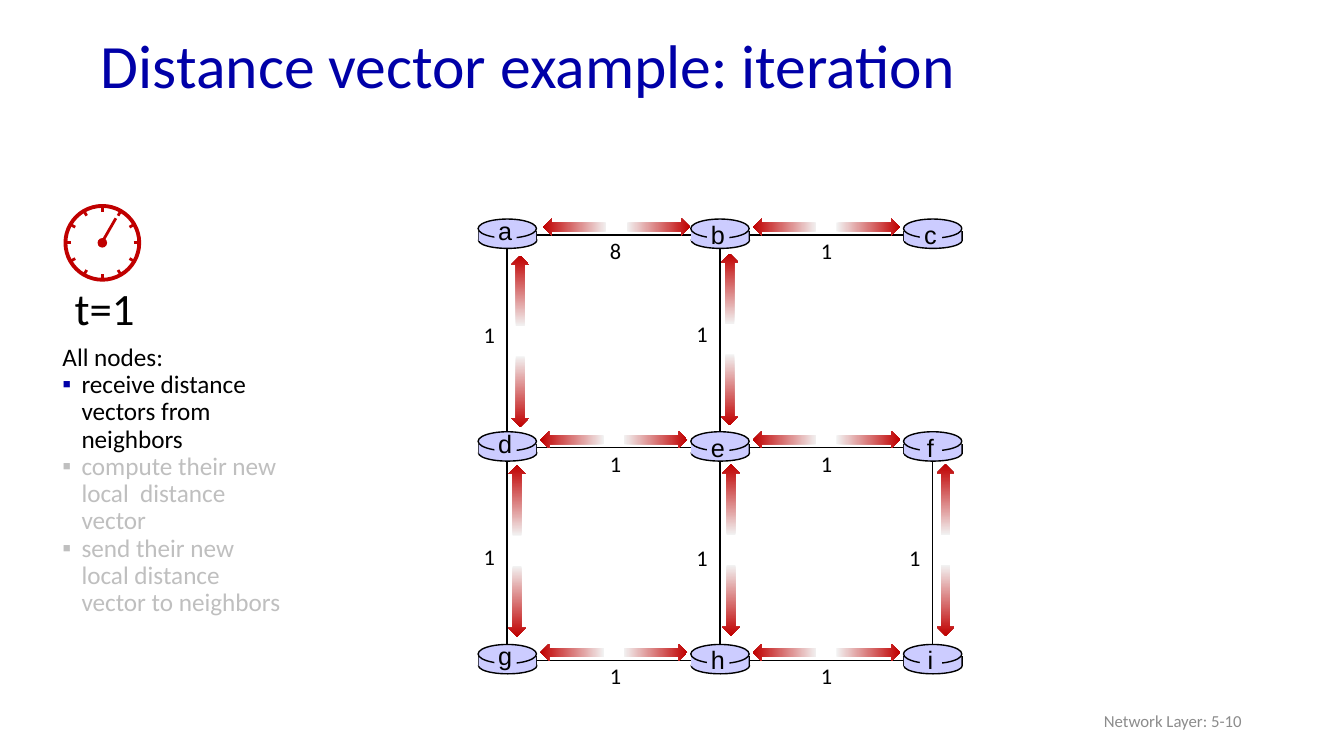
import math
from dataclasses import dataclass

from lxml import etree
from pptx import Presentation, util as u
from pptx.dml import color as dml
from pptx.enum import shapes, text
from pptx.oxml import ns
from pptx.shapes import autoshape, connector, shapetree
from pptx.text import text as txt

BLACK, BLUE, RED, GREY, LILAC = "000000", "0000A8", "C00000", "BFBFBF", "CCCCFF"
SHAPE, ALIGN = shapes.MSO_SHAPE, text.PP_ALIGN
GRID_LEFT, GRID_TOP, PITCH = 12.78, 5.92, 5.36
NODES = "abcdefghi"


@dataclass
class Link:
    start: str
    end: str
    label: float
    near: float = 0.84
    side: float = -0.2
    cost: str = "1"


LINKS = [
    Link("a", "b", 2.34, near=0.91, cost="8"),
    Link("b", "c", 2.3),
    Link("d", "e", 2.34),
    Link("e", "f", 2.3),
    Link("g", "h", 2.34),
    Link("h", "i", 2.3),
    Link("a", "d", 2.05, 0.52, 0.33),
    Link("b", "e", 2.03, 0.47, 0.25),
    Link("d", "g", 2.29, 0.44, 0.25),
    Link("e", "h", 2.31, 0.42, 0.28),
    Link("f", "i", 2.31, 0.42, 0.33),
]


@dataclass
class Step:
    words: str
    color: str
    bullet: str


STEPS = [
    Step("All nodes:", BLACK, ""),
    Step("receive distance vectors from neighbors", BLACK, BLUE),
    Step("compute their new local  distance vector", GREY, GREY),
    Step("send their new local distance vector to neighbors", GREY, GREY),
]


def rgb(value: str) -> dml.RGBColor:
    return dml.RGBColor.from_string(value)


def place(sp, x: float, y: float, w: float, h: float) -> None:
    sp.left, sp.top, sp.width, sp.height = u.Cm(x), u.Cm(y), u.Cm(w), u.Cm(h)


def write(tf, words: str, *, size: float, color: str = BLACK, font: str = "Calibri",
          align=ALIGN.LEFT, spacing: float = 1.0) -> txt._Paragraph:
    p = tf.add_paragraph() if tf.text else tf.paragraphs[0]
    p.alignment, p.line_spacing, p.space_before = align, spacing, u.Pt(0)
    r = p.add_run()
    r.text = words
    r.font.size, r.font.name, r.font.color.rgb = u.Pt(size), font, rgb(color)
    return p


def add_label(tree: shapetree._BaseGroupShapes, words: str, x: float, y: float, w: float,
              h: float, *, anchor=text.MSO_ANCHOR.TOP, **style) -> None:
    tf = tree.add_textbox(u.Cm(x), u.Cm(y), u.Cm(w), u.Cm(h)).text_frame
    tf.word_wrap, tf.vertical_anchor = False, anchor
    write(tf, words, **style)


def add_shape(tree: shapetree._BaseGroupShapes, kind: SHAPE, x: float, y: float, w: float,
              h: float, *, fill: str = "", line: str = "", weight: float = 1) -> autoshape.Shape:
    sp = tree.add_shape(kind, u.Cm(x), u.Cm(y), u.Cm(w), u.Cm(h))
    sp.shadow.inherit = False
    if fill:
        sp.fill.solid()
        sp.fill.fore_color.rgb = rgb(fill)
    else:
        sp.fill.background()
    if line:
        sp.line.color.rgb, sp.line.width = rgb(line), u.Pt(weight)
    else:
        sp.line.fill.background()
    return sp


def add_line(tree: shapetree._BaseGroupShapes, x1: float, y1: float, x2: float, y2: float,
             color: str = BLACK, weight: float = 1) -> connector.Connector:
    c = tree.add_connector(shapes.MSO_CONNECTOR.STRAIGHT, u.Cm(x1), u.Cm(y1), u.Cm(x2), u.Cm(y2))
    c.line.color.rgb, c.line.width = rgb(color), u.Pt(weight)
    etree.SubElement(c._element.spPr, ns.qn("a:effectLst"))
    return c


def add_arrow(tree: shapetree._BaseGroupShapes, cx: float, cy: float, length: float,
              angle: float) -> None:
    sp = add_shape(tree, SHAPE.RIGHT_ARROW, cx - length / 2, cy - 0.22, length, 0.44)
    sp.fill.gradient()
    sp.fill.gradient_angle = 0
    for stop, color, position in zip(sp.fill.gradient_stops, ("F2F2F2", RED), (0, 1)):
        stop.color.rgb, stop.position = rgb(color), position
    sp.rotation = angle


def node_center(name: str) -> tuple[float, float]:
    row, col = divmod(NODES.index(name), 3)
    return GRID_LEFT + col * PITCH, GRID_TOP + row * PITCH


def add_router(s, name: str) -> None:
    cx, cy = node_center(name)
    tree = s.shapes.add_group_shape().shapes
    add_shape(tree, SHAPE.OVAL, cx - 0.72, cy - 0.07, 1.47, 0.41, fill=LILAC, line=BLACK)
    for x in (cx - 0.72, cx + 0.74):
        add_line(tree, x, cy - 0.1, x, cy + 0.15)
    add_shape(tree, SHAPE.RECTANGLE, cx - 0.72, cy - 0.1, 1.45, 0.25, fill=LILAC)
    add_shape(tree, SHAPE.OVAL, cx - 0.73, cy - 0.4, 1.47, 0.48, fill=LILAC, line=BLACK)
    add_shape(tree, SHAPE.RECTANGLE, cx - 0.32, cy - 0.28, 0.56, 0.51, fill=LILAC)
    rise = 0.62 if name in "adg" else 0.52
    add_label(tree, name, cx - 0.48, cy - rise, 0.86, 1.02, size=18, font="Arial",
              align=ALIGN.CENTER)


def add_exchange(s, link: Link) -> None:
    (x, y), (x2, _) = node_center(link.start), node_center(link.end)
    across = x2 > x
    length, gap = (1.6, 2.1) if across else (1.78, 2.54)
    for offset, angle in ((0, 180 if across else 270), (gap, 0 if across else 90)):
        along = link.near + offset + length / 2
        dx, dy = (along, link.side) if across else (link.side, along)
        add_arrow(s.shapes, x + dx, y + dy, length, angle)
    dx, dy = (link.label, -0.07) if across else (-0.84, link.label)
    add_label(s.shapes, link.cost, x + dx, y + dy, 0.82, 0.94, size=16)


def add_clock(s, cx: float, cy: float) -> None:
    tree = s.shapes.add_group_shape().shapes
    add_label(tree, "t=1", 1.63, 6.96, 2.06, 1.63, size=32)
    add_shape(tree, SHAPE.OVAL, cx - 0.93, cy - 0.93, 1.86, 1.86, line=RED, weight=2.75)
    for hour in range(12):
        dx, dy = math.cos(hour * math.pi / 6), math.sin(hour * math.pi / 6)
        add_line(tree, cx + 0.79 * dx, cy + 0.79 * dy, cx + 0.95 * dx, cy + 0.95 * dy, RED, 2)
    add_shape(tree, SHAPE.OVAL, cx - 0.12, cy - 0.12, 0.24, 0.24, fill=RED)
    add_line(tree, cx + 0.34, cy - 0.62, cx - 0.04, cy + 0.04, RED, 2)


def fill_steps(sp) -> None:
    place(sp, 1.32, 8.56, 6.1, 7.19)
    tf = sp.text_frame
    tf.word_wrap, tf.auto_size = True, text.MSO_AUTO_SIZE.NONE
    for step in STEPS:
        pPr = write(tf, step.words, size=18, color=step.color, spacing=0.9)._p.get_or_add_pPr()
        indent = u.Cm(0.48) if step.bullet else 0
        pPr.set("marL", str(indent))
        pPr.set("indent", str(-indent))
        if step.bullet:
            bu_color = etree.SubElement(pPr, ns.qn("a:buClr"))
            etree.SubElement(bu_color, ns.qn("a:srgbClr"), val=step.bullet)
            etree.SubElement(pPr, ns.qn("a:buFont"), typeface="Arial")
            etree.SubElement(pPr, ns.qn("a:buChar"), char="▪")
        else:
            etree.SubElement(pPr, ns.qn("a:buNone"))


def main() -> None:
    """Build the slide on one round of distance vector exchange."""
    prs = Presentation()
    prs.slide_width, prs.slide_height = u.Cm(33.87), u.Cm(19.05)
    s = prs.slides.add_slide(prs.slide_layouts[1])
    title, body = s.placeholders
    place(title, 2.29, 0.48, 29.21, 2.49)
    tf = title.text_frame
    tf.vertical_anchor, tf.auto_size = text.MSO_ANCHOR.MIDDLE, text.MSO_AUTO_SIZE.NONE
    write(tf, "Distance vector example: iteration", size=44, color=BLUE, spacing=0.9)
    fill_steps(body)
    add_label(s.shapes, "Network Layer: 5-10", 23.93, 17.65, 7.62, 1.02, size=12,
              color="8C8C8C", align=ALIGN.RIGHT, anchor=text.MSO_ANCHOR.MIDDLE)
    add_clock(s, 2.58, 6.12)
    for link in LINKS:
        add_line(s.shapes, *node_center(link.start), *node_center(link.end))
    for name in NODES:
        add_router(s, name)
    for link in LINKS:
        add_exchange(s, link)
    prs.save("out.pptx")


if __name__ == "__main__":
    main()
